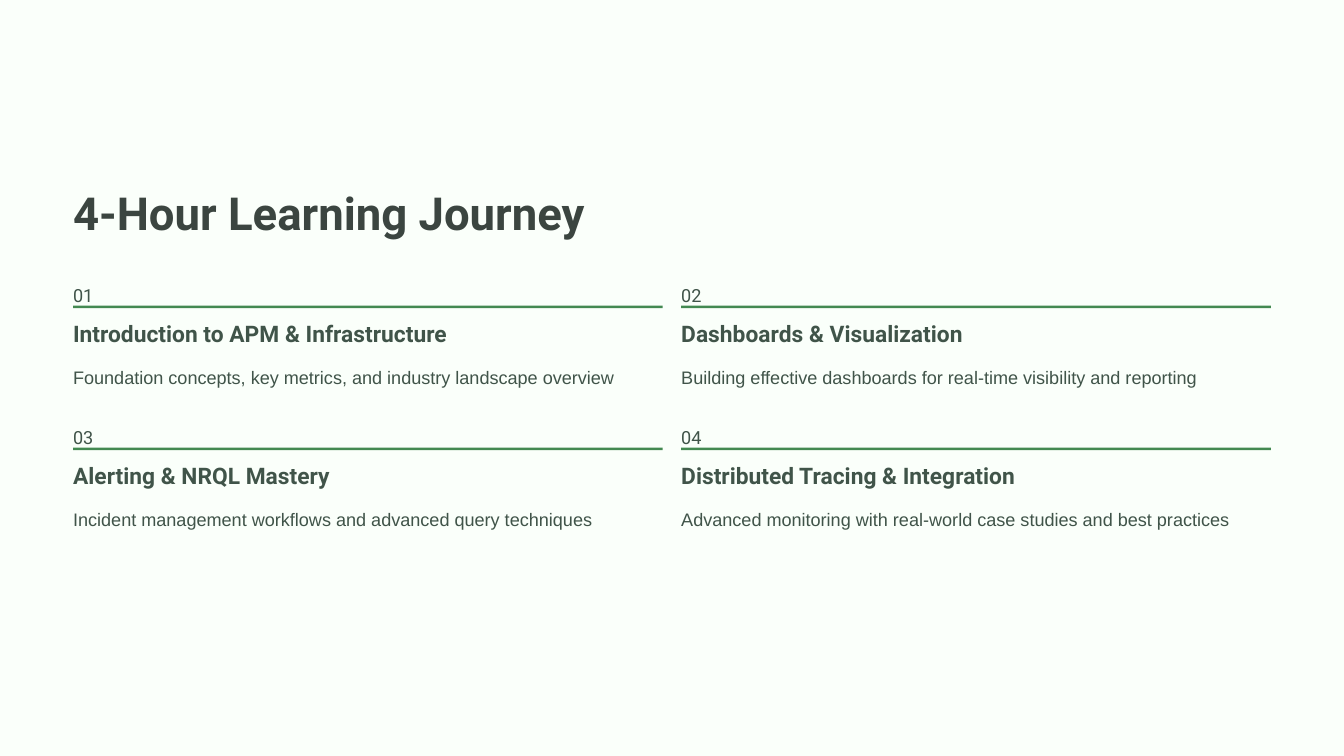
from pptx import Presentation
from pptx.dml.color import RGBColor
from pptx.enum.shapes import MSO_SHAPE
from pptx.util import Inches, Pt

PAPER = RGBColor(0xFA, 0xFF, 0xFA)
TITLE = RGBColor(0x3B, 0x45, 0x40)
BODY = RGBColor(0x40, 0x54, 0x49)
GREEN = RGBColor(0x43, 0x89, 0x51)

LEFT, TOP = 0.87, 3.3
COL_STEP, ROW_STEP = 7.24, 1.69
COL_WIDTH = 7.02

MODULES = [
    ("Introduction to APM & Infrastructure",
     "Foundation concepts, key metrics, and industry landscape overview"),
    ("Dashboards & Visualization",
     "Building effective dashboards for real-time visibility and reporting"),
    ("Alerting & NRQL Mastery",
     "Incident management workflows and advanced query techniques"),
    ("Distributed Tracing & Integration",
     "Advanced monitoring with real-world case studies and best practices"),
]

prs = Presentation()
prs.slide_width = Inches(16)
prs.slide_height = Inches(9)
s = prs.slides.add_slide(prs.slide_layouts[6])


def add_rect(x, y, w, h, color):
    sp = s.shapes.add_shape(MSO_SHAPE.RECTANGLE, Inches(x), Inches(y),
                            Inches(w), Inches(h))
    sp.shadow.inherit = False
    sp.fill.solid()
    sp.fill.fore_color.rgb = color
    sp.line.fill.background()


def add_text(text, x, y, w, h, size, spacing, font="Roboto", color=BODY, bold=False):
    tf = s.shapes.add_textbox(Inches(x), Inches(y), Inches(w), Inches(h)).text_frame
    tf.margin_left = tf.margin_top = tf.margin_right = tf.margin_bottom = 0
    tf.word_wrap = False
    p = tf.paragraphs[0]
    p.line_spacing = Pt(spacing)
    r = p.add_run()
    r.text = text
    r.font.name = font
    r.font.size = Pt(size)
    r.font.bold = bold
    r.font.color.rgb = color


add_rect(0, 0, 16, 9, PAPER)
add_text("4-Hour Learning Journey", LEFT, 2.18, 7.04, 0.68, 39, 48.5,
         color=TITLE, bold=True)

for i, (heading, summary) in enumerate(MODULES):
    row, col = divmod(i, 2)
    x = LEFT + col * COL_STEP
    y = TOP + row * ROW_STEP
    add_text(f"{i + 1:02d}", x, y, 0.3, 0.27, 15.5, 25)
    add_rect(x, y + 0.34, COL_WIDTH, 0.03, GREEN)
    add_text(heading, x, y + 0.5, COL_WIDTH, 0.34, 19.5, 24, bold=True)
    add_text(summary, x, y + 0.97, COL_WIDTH, 0.35, 15.5, 25, font="Arial")

prs.save("out.pptx")
